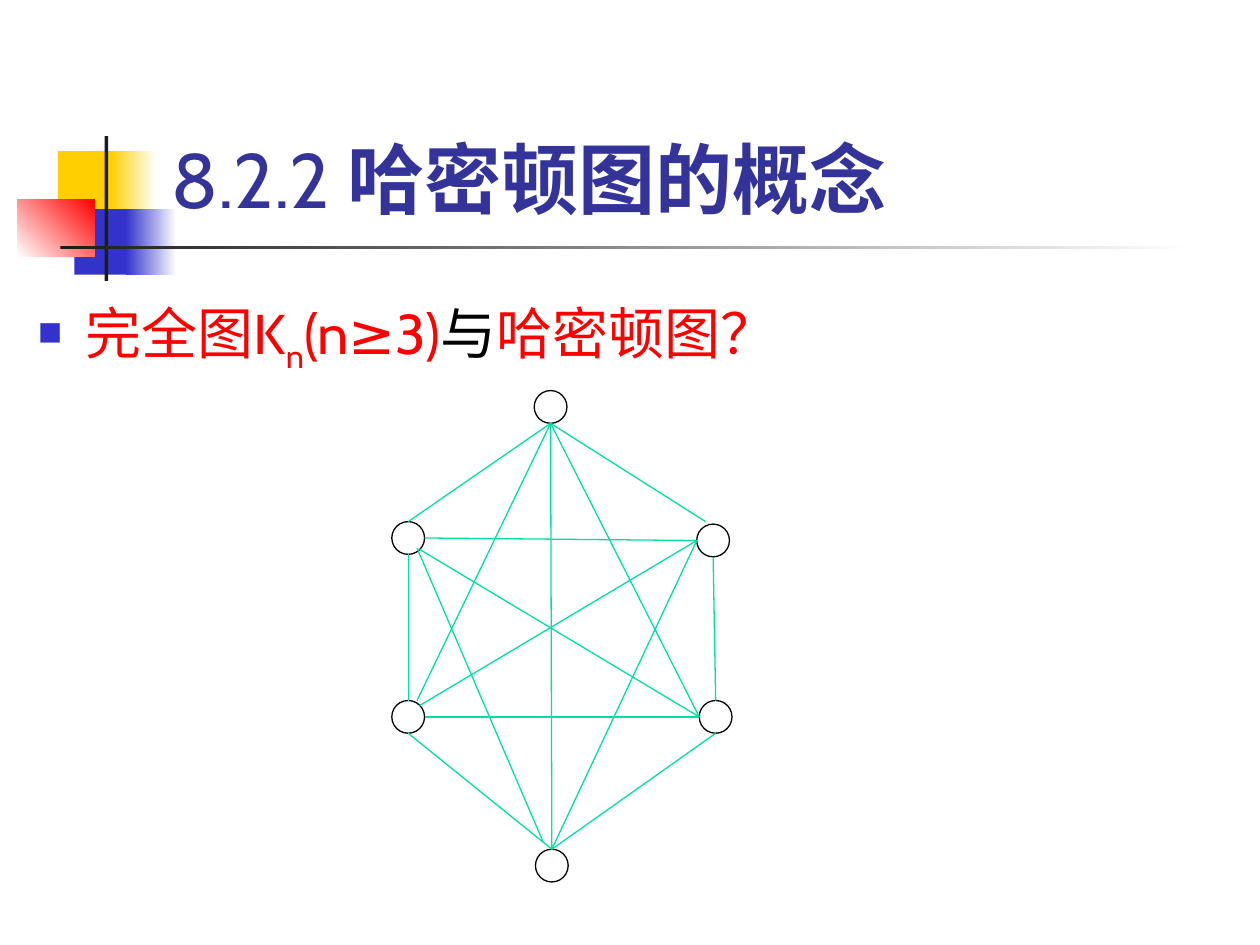
from dataclasses import dataclass
from typing import NamedTuple

from lxml.etree import SubElement
from pptx import Presentation
from pptx.dml.color import RGBColor
from pptx.enum.shapes import MSO_CONNECTOR as Connector, MSO_SHAPE as Shape
from pptx.enum.text import MSO_ANCHOR as Anchor
from pptx.oxml.ns import qn
from pptx.util import Inches, Pt

COLUMNS, ROWS = 1000, 750  # the grid that every position below counts in
WIDTH, HEIGHT = Inches(10), Inches(7.5)


@dataclass(frozen=True)
class Theme:
    font: str = "Cabin"
    title_size: int = 44
    body_size: int = 32
    line_width: float = 0.75
    title: str = "333399"
    accent: str = "FF0000"
    text: str = "000000"
    yellow: str = "FFCF01"
    blue: str = "3333CC"
    dark: str = "1C1C1C"
    white: str = "FFFFFF"
    edge: str = "00DFA4"


THEME = Theme()


class Box(NamedTuple):
    column: float
    row: float
    columns: float
    rows: float


class Block(NamedTuple):
    box: Box
    start: str
    end: str = ""  # a second colour makes a gradient
    angle: float = 0


class TextRun(NamedTuple):
    text: str
    color: str
    bold: bool = False
    baseline: int = 0


class Point(NamedTuple):
    column: float
    row: float


class Edge(NamedTuple):
    start: str
    start_site: str
    end: str
    end_site: str


BLOCKS = [
    Block(Box(46, 120, 48, 52), THEME.yellow),
    Block(Box(88, 120, 36, 52), THEME.yellow, THEME.white),
    Block(Box(59, 166, 46, 52), THEME.blue),
    Block(Box(100, 166, 40, 52), THEME.blue, THEME.white),
    Block(Box(14, 158, 61, 46), THEME.white, THEME.accent, 45),
    Block(Box(83, 108, 3, 115), THEME.dark),
    Block(Box(48, 195, 900, 3), THEME.dark, THEME.white),
]

TITLE_RUNS = [
    TextRun("8.2.2 ", THEME.title),
    TextRun("哈密顿图的概念", THEME.title, bold=True),
]
BODY_RUNS = [
    TextRun("完全图K", THEME.accent),
    TextRun("n", THEME.accent, baseline=-25000),
    TextRun("(n≥3)", THEME.accent),
    TextRun("与", THEME.text),
    TextRun("哈密顿图？", THEME.accent),
]

RADIUS = 13
VERTICES = {
    "bottom": Point(438, 687),
    "lower right": Point(568, 569),
    "lower left": Point(324, 569),
    "upper right": Point(566, 429),
    "upper left": Point(324, 427),
    "top": Point(437, 323),
}
# Where an edge meets a vertex, measured from its centre
SITES = {
    "N": Point(0, -RADIUS),
    "S": Point(0, RADIUS),
    "E": Point(RADIUS, 0),
    "W": Point(-RADIUS, 0),
    "NE": Point(9, -9),
    "SE": Point(9, 9),
    "NNE": Point(7, -13),
    "SSE": Point(7, 8),
    "NNW": Point(-6, -15),
    "above": Point(-7, -19),
}
EDGES = [
    Edge("top", "S", "upper left", "N"),
    Edge("top", "S", "upper right", "NNW"),
    Edge("upper left", "S", "lower left", "N"),
    Edge("upper right", "S", "lower right", "N"),
    Edge("lower left", "S", "bottom", "N"),
    Edge("lower right", "S", "bottom", "N"),
    Edge("top", "S", "bottom", "N"),
    Edge("upper left", "E", "upper right", "W"),
    Edge("upper right", "W", "bottom", "N"),
    Edge("lower right", "W", "top", "S"),
    Edge("lower right", "W", "lower left", "E"),
    Edge("bottom", "above", "upper left", "SSE"),
    Edge("top", "S", "lower left", "NNE"),
    Edge("lower left", "NE", "upper right", "W"),
    Edge("upper left", "SE", "lower right", "W"),
]


def across(columns: float) -> int:
    return round(WIDTH * columns / COLUMNS)


def down(rows: float) -> int:
    return round(HEIGHT * rows / ROWS)


def place(box: Box) -> tuple:
    return across(box.column), down(box.row), across(box.columns), down(box.rows)


def rgb(color: str) -> RGBColor:
    return RGBColor.from_string(color)


def add_block(slide, block: Block) -> None:
    shape = slide.shapes.add_shape(Shape.RECTANGLE, *place(block.box))
    shape.shadow.inherit = False
    shape.line.fill.background()
    if block.end:
        shape.fill.gradient()
        shape.fill.gradient_angle = block.angle
        for stop, color in zip(shape.fill.gradient_stops, (block.start, block.end)):
            stop.color.rgb = rgb(color)
    else:
        shape.fill.solid()
        shape.fill.fore_color.rgb = rgb(block.start)


def add_text(slide, box: Box, runs: list[TextRun], size: int, anchor: Anchor):
    """Add a one-paragraph text box and return its paragraph."""
    frame = slide.shapes.add_textbox(*place(box)).text_frame
    frame.word_wrap = True
    frame.vertical_anchor = anchor
    paragraph = frame.paragraphs[0]
    for item in runs:
        run = paragraph.add_run()
        run.text = item.text
        run.font.name = THEME.font
        run.font.size = Pt(size)
        run.font.bold = item.bold
        run.font.color.rgb = rgb(item.color)
        if item.baseline:
            run.font._element.set("baseline", str(item.baseline))
    return paragraph


def add_bullet(paragraph, indent: int) -> None:
    properties = paragraph._p.get_or_add_pPr()
    properties.set("marL", str(indent))
    properties.set("indent", str(-indent))
    color = SubElement(properties, qn("a:buClr"))
    SubElement(color, qn("a:srgbClr"), val=THEME.blue)
    SubElement(properties, qn("a:buSzPct"), val="60000")
    SubElement(properties, qn("a:buChar"), char="■")


def add_vertex(slide, center: Point) -> None:
    box = Box(center.column - RADIUS, center.row - RADIUS, 2 * RADIUS, 2 * RADIUS)
    shape = slide.shapes.add_shape(Shape.OVAL, *place(box))
    shape.shadow.inherit = False
    shape.fill.solid()
    shape.fill.fore_color.rgb = rgb(THEME.white)
    shape.line.color.rgb = rgb(THEME.text)
    shape.line.width = Pt(THEME.line_width)


def locate(vertex: str, site: str) -> tuple[int, int]:
    center, offset = VERTICES[vertex], SITES[site]
    return across(center.column + offset.column), down(center.row + offset.row)


def add_edge(slide, edge: Edge) -> None:
    line = slide.shapes.add_connector(
        Connector.STRAIGHT,
        *locate(edge.start, edge.start_site),
        *locate(edge.end, edge.end_site),
    )
    line.line.color.rgb = rgb(THEME.edge)
    line.line.width = Pt(THEME.line_width)
    SubElement(line._element.spPr, qn("a:effectLst"))


def main() -> None:
    presentation = Presentation()
    presentation.slide_width, presentation.slide_height = WIDTH, HEIGHT
    slide = presentation.slides.add_slide(presentation.slide_layouts[6])
    for block in BLOCKS:
        add_block(slide, block)
    add_text(slide, Box(126, 23, 852, 160), TITLE_RUNS, THEME.title_size, Anchor.BOTTOM)
    body = add_text(slide, Box(20, 202, 973, 548), BODY_RUNS, THEME.body_size, Anchor.TOP)
    add_bullet(body, across(38))
    body.line_spacing = 1.5
    for center in VERTICES.values():
        add_vertex(slide, center)
    for edge in EDGES:
        add_edge(slide, edge)
    presentation.save("out.pptx")


if __name__ == "__main__":
    main()
